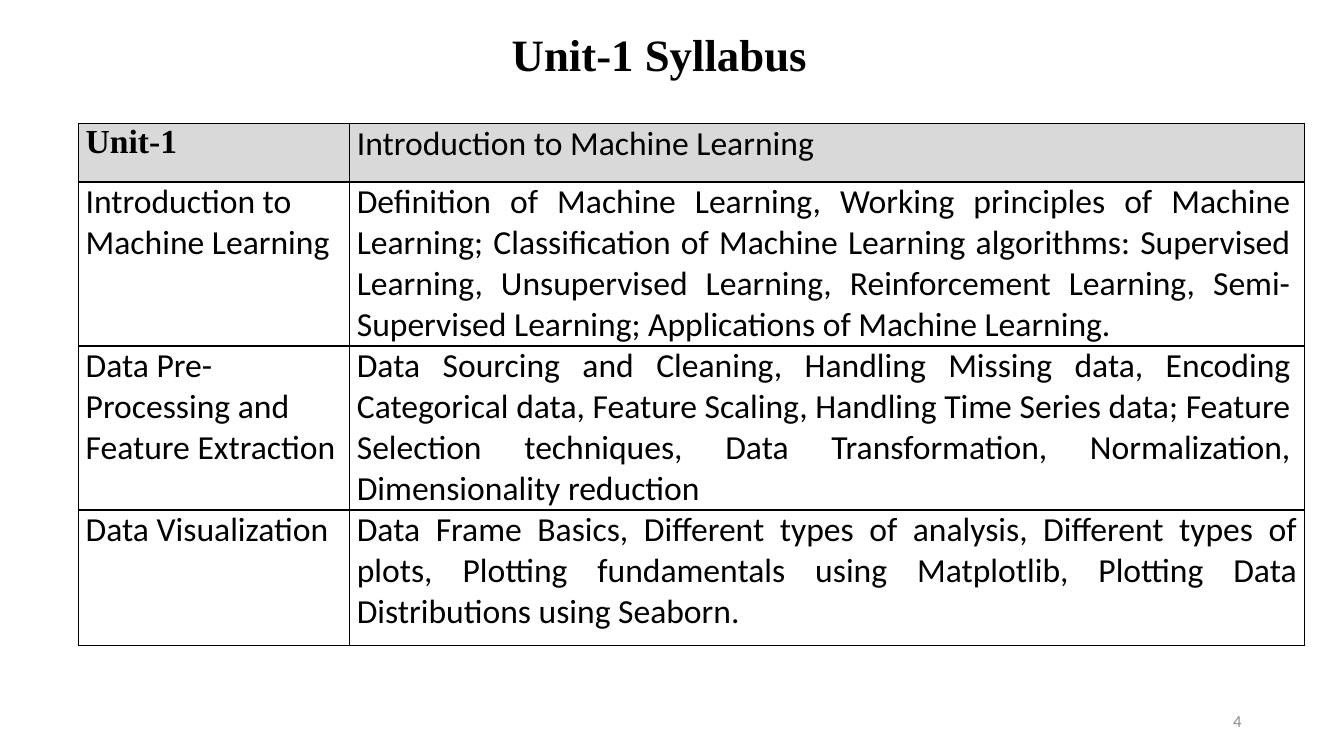
import pptx
import pptx.util
import pptx.dml.color
import pptx.enum.text
import pptx.oxml
import pptx.oxml.ns

Pt = pptx.util.Pt
ALIGN = pptx.enum.text.PP_ALIGN
MIDDLE = pptx.enum.text.MSO_ANCHOR.MIDDLE
HUES = {"ink": "000000", "head": "D9D9D9", "page": "FFFFFF", "number": "8C8C8C"}
SERIF = "Times New Roman"
COLS = [193.7, 682.5]
ROWS = [41.5, 117, 117, 96.5]
UNITS = [
    ("Unit-1", "Introduction to Machine Learning"),
    ("Introduction to Machine Learning",
     "Definition of Machine Learning, Working principles of Machine Learning; "
     "Classification of Machine Learning algorithms: Supervised Learning, "
     "Unsupervised Learning, Reinforcement Learning, Semi-Supervised Learning; "
     "Applications of Machine Learning."),
    ("Data Pre-Processing and Feature Extraction",
     "Data Sourcing and Cleaning, Handling Missing data, Encoding Categorical data, "
     "Feature Scaling, Handling Time Series data; Feature Selection techniques, "
     "Data Transformation, Normalization, Dimensionality reduction"),
    ("Data Visualization",
     "Data Frame Basics, Different types of analysis, Different types of plots, "
     "Plotting fundamentals using Matplotlib, Plotting Data Distributions using Seaborn."),
]


def color(name):
    """Return the named colour."""
    return pptx.dml.color.RGBColor.from_string(HUES[name])


def write(frame, text, size=24, font="Calibri", hue="ink", bold=False,
          align=ALIGN.LEFT, space=1.0):
    """Put one formatted paragraph into a text frame."""
    frame.word_wrap = True
    para = frame.paragraphs[0]
    para.alignment = align
    para.line_spacing = space
    run = para.add_run()
    run.text = text
    run.font.size = Pt(size)
    run.font.name = font
    run.font.bold = bold
    run.font.color.rgb = color(hue)


def border(cell):
    """Draw a thin line on all four sides of a cell."""
    props = cell._tc.get_or_add_tcPr()
    for side in ("lnL", "lnR", "lnT", "lnB"):
        props.append(pptx.oxml.parse_xml(
            f'<a:{side} {pptx.oxml.ns.nsdecls("a")} w="{Pt(1)}"><a:solidFill>'
            f'<a:srgbClr val="{HUES["ink"]}"/></a:solidFill></a:{side}>'))


def add_title(slide, text):
    """Place and fill the title."""
    title = slide.shapes.title
    title.left, title.top, title.width, title.height = Pt(57), Pt(7), Pt(828), Pt(68)
    frame = title.text_frame
    frame.auto_size = pptx.enum.text.MSO_AUTO_SIZE.NONE
    frame.vertical_anchor = MIDDLE
    write(frame, text, size=32, font=SERIF, bold=True, align=ALIGN.CENTER, space=0.9)


def add_number(slide, text):
    """Add the page number at the lower right."""
    box = slide.shapes.add_textbox(Pt(678), Pt(500.5), Pt(216), Pt(28.8))
    box.text_frame.vertical_anchor = MIDDLE
    write(box.text_frame, text, size=12, hue="number", align=ALIGN.RIGHT)


def add_units(slide):
    """Add the syllabus table with a shaded first row."""
    table = slide.shapes.add_table(len(ROWS), len(COLS), Pt(55.8), Pt(88.5),
                                   Pt(sum(COLS)), Pt(sum(ROWS))).table
    for col, width in zip(table.columns, COLS):
        col.width = Pt(width)
    for row, height in zip(table.rows, ROWS):
        row.height = Pt(height)
    for r, unit in enumerate(UNITS):
        for c, text in enumerate(unit):
            cell = table.cell(r, c)
            head = r == 0
            cell.margin_left = Pt(5.4)
            cell.margin_right = Pt(10 if c == 1 and r in (1, 2) else 5.4)
            cell.margin_top = cell.margin_bottom = 0
            border(cell)
            cell.fill.solid()
            cell.fill.fore_color.rgb = color("head" if head else "page")
            label = head and c == 0
            write(cell.text_frame, text, font=SERIF if label else "Calibri", bold=label,
                  align=ALIGN.JUSTIFY if head or c == 1 else ALIGN.LEFT)


def main():
    """Build and save the slide."""
    deck = pptx.Presentation()
    deck.slide_width, deck.slide_height = Pt(960), Pt(540)
    slide = deck.slides.add_slide(deck.slide_layouts[5])
    add_title(slide, "Unit-1 Syllabus")
    add_units(slide)
    add_number(slide, "4")
    deck.save("out.pptx")


main()
